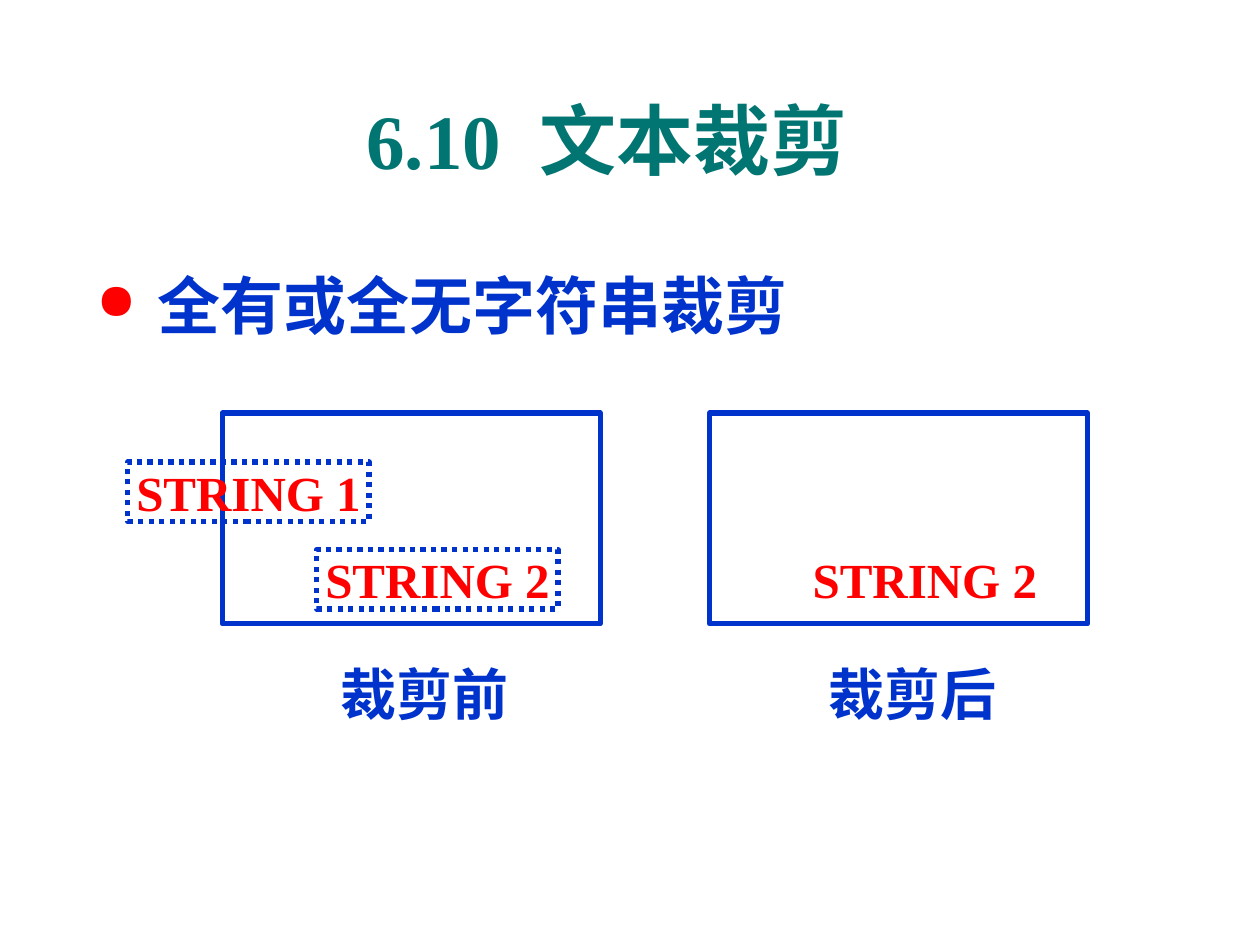
from lxml import etree
from pptx import Presentation
from pptx.dml.color import RGBColor
from pptx.enum import dml, shapes, text
from pptx.oxml.ns import qn
from pptx.util import Pt

TEAL = RGBColor(0x00, 0x75, 0x72)
BLUE = RGBColor(0x00, 0x33, 0xCC)
RED = RGBColor(0xFF, 0x00, 0x00)
LATIN = "Times New Roman"
CJK = "Noto Sans CJK SC"

WINDOW_SIZE = (216, 120.5)
STRING_SIZE = (138, 34)
CAPTION_SIZE = (96.5, 38)


def style_run(run, size, color, latin=LATIN):
    font = run.font
    font.size, font.bold, font.name = Pt(size), True, latin
    font.color.rgb = color
    etree.SubElement(run._r.get_or_add_rPr(), qn("a:ea"), typeface=CJK)


def add_outline(slide, left, top, width, height, dash=None):
    box = slide.shapes.add_shape(shapes.MSO_SHAPE.RECTANGLE,
                                 Pt(left), Pt(top), Pt(width), Pt(height))
    box.shadow.inherit = False
    box.fill.background()
    box.line.color.rgb = BLUE
    box.line.width = Pt(3)
    if dash:
        box.line.dash_style = dash
    return box


def add_text_box(slide, left, top, width, height):
    return slide.shapes.add_textbox(Pt(left), Pt(top), Pt(width), Pt(height))


def write_centred(box, wording, size, color, wrap=True):
    frame = box.text_frame
    frame.margin_left = frame.margin_right = Pt(0)
    frame.margin_top = frame.margin_bottom = Pt(0)
    frame.vertical_anchor = text.MSO_ANCHOR.MIDDLE
    frame.word_wrap = wrap
    frame.text = wording
    paragraph = frame.paragraphs[0]
    paragraph.alignment = text.PP_ALIGN.CENTER
    style_run(paragraph.runs[0], size, color)


def add_title(slide, left, top, width, height):
    """Place the section number and name, with a wide gap between them."""
    frame = add_text_box(slide, left, top, width, height).text_frame
    frame.word_wrap = True
    frame.vertical_anchor = text.MSO_ANCHOR.MIDDLE
    frame.margin_right = Pt(18)
    paragraph = frame.paragraphs[0]
    paragraph.alignment = text.PP_ALIGN.CENTER
    for wording in ("6.10", " ", "文本裁剪"):
        run = paragraph.add_run()
        run.text = wording
        style_run(run, 44, TEAL)
    paragraph.runs[1]._r.get_or_add_rPr().set("spc", "1100")


def add_bullet_line(slide, left, top, width, height):
    frame = add_text_box(slide, left, top, width, height).text_frame
    frame.word_wrap = True
    frame.text = "全有或全无字符串裁剪"
    paragraph = frame.paragraphs[0]
    paragraph.line_spacing = 1.2
    properties = paragraph._p.get_or_add_pPr()
    indent = Pt(35)
    properties.set("marL", str(indent))
    properties.set("indent", str(-indent))
    bullet_color = etree.SubElement(properties, qn("a:buClr"))
    etree.SubElement(bullet_color, qn("a:srgbClr"), val=str(RED))
    etree.SubElement(properties, qn("a:buSzPct"), val="80000")
    etree.SubElement(properties, qn("a:buChar"), char="●")
    style_run(paragraph.runs[0], 36, BLUE, CJK)


def add_clipping_panel(slide, left, top, caption, strings, framed):
    """Draw a clip window; strings maps each wording to its window offset."""
    add_outline(slide, left, top, *WINDOW_SIZE)
    caption_box = add_text_box(slide, left + 67.5, top + 141, *CAPTION_SIZE)
    write_centred(caption_box, caption, 32, BLUE, wrap=False)
    for wording, (dx, dy) in strings.items():
        place = (left + dx, top + dy, *STRING_SIZE)
        if framed:
            box = add_outline(slide, *place, dash=dml.MSO_LINE.ROUND_DOT)
        else:
            box = add_text_box(slide, *place)
        write_centred(box, wording, 28, RED)


def main():
    deck = Presentation()
    deck.slide_width, deck.slide_height = Pt(720), Pt(540)
    slide = deck.slides.add_slide(deck.slide_layouts[6])
    add_title(slide, 116, 49, 473, 60)
    add_bullet_line(slide, 48, 140, 660, 59)

    offsets = {"STRING 1": (-54, 28), "STRING 2": (54, 78)}
    kept = {"STRING 2": offsets["STRING 2"]}
    add_clipping_panel(slide, 127, 236, "裁剪前", offsets, framed=True)
    add_clipping_panel(slide, 405.5, 236, "裁剪后", kept, framed=False)
    deck.save("out.pptx")


if __name__ == "__main__":
    main()
